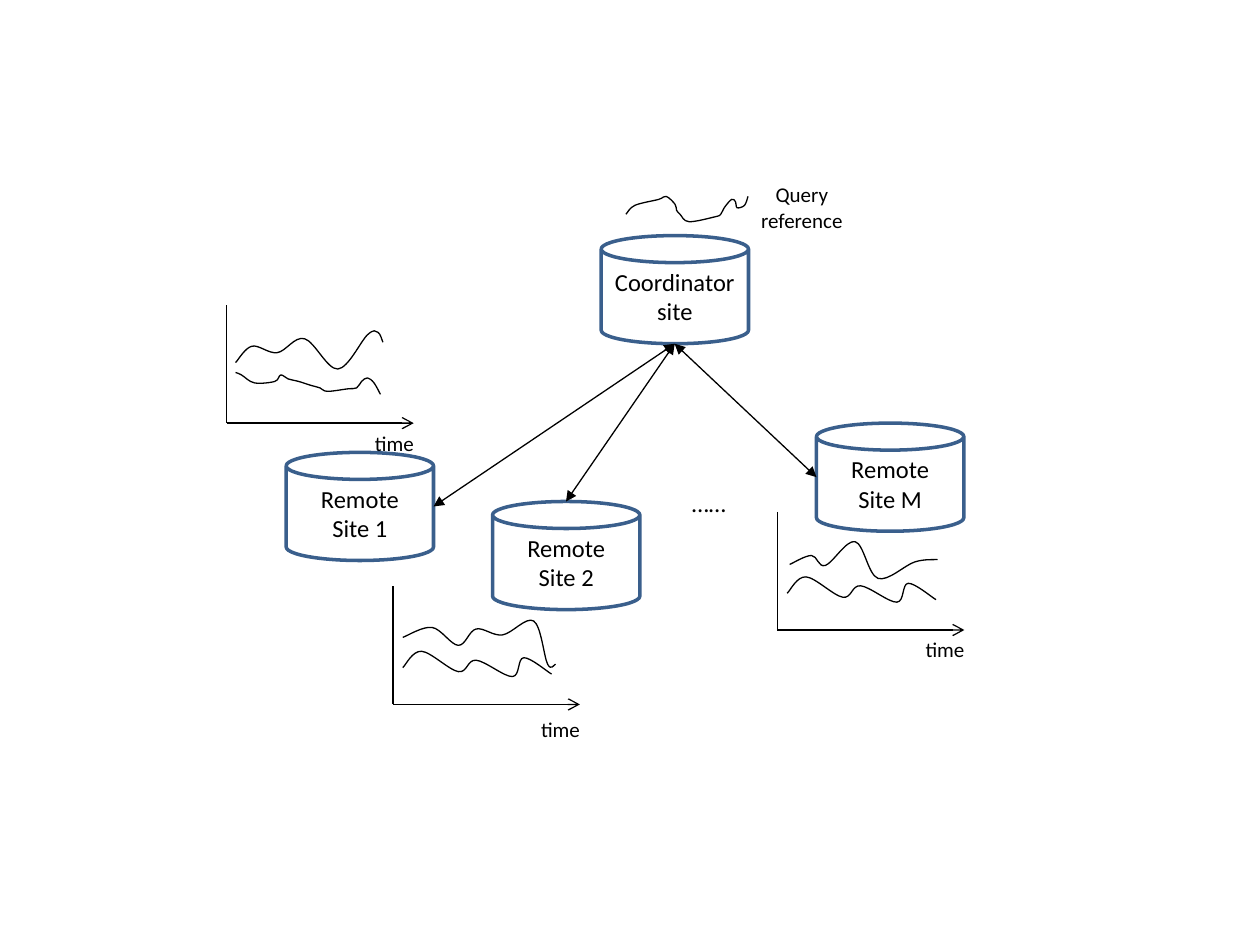
import pptx
import pptx.util
import pptx.dml.color
import pptx.enum.shapes
import pptx.enum.text
import pptx.oxml
import pptx.oxml.ns

Cm = pptx.util.Cm
Pt = pptx.util.Pt
qn = pptx.oxml.ns.qn
BLACK = pptx.dml.color.RGBColor(0x00, 0x00, 0x00)
SITE_BLUE = pptx.dml.color.RGBColor(0x3A, 0x5F, 0x8C)

deck = pptx.Presentation()
deck.slide_width = Cm(25.4)
deck.slide_height = Cm(19.05)
slide = deck.slides.add_slide(deck.slide_layouts[6])


def write(shape, text, size):
    frame = shape.text_frame
    frame.word_wrap = True
    frame.vertical_anchor = pptx.enum.text.MSO_ANCHOR.MIDDLE
    frame.text = text
    for paragraph in frame.paragraphs:
        paragraph.alignment = pptx.enum.text.PP_ALIGN.CENTER
        for run in paragraph.runs:
            run.font.size = Pt(size)
            run.font.name = "Calibri"
            run.font.color.rgb = BLACK


def draw_line(start, end, **arrowheads):
    line = slide.shapes.add_connector(
        pptx.enum.shapes.MSO_CONNECTOR.STRAIGHT, *map(Cm, start + end))
    line.line.color.rgb = BLACK
    line.line.width = Pt(0.75)
    outline = line.line._get_or_add_ln()
    for side in arrowheads:
        pptx.oxml.ns
        outline.append(outline.makeelement(qn("a:" + side), {"type": arrowheads[side]}))
    properties = line.element.spPr
    properties.append(properties.makeelement(qn("a:effectLst"), {}))


SITE_WIDTH, SITE_HEIGHT = 2.97, 2.18
sites = [
    ("Coordinator\nsite", 12.12, 4.75),
    ("Remote\nSite M", 16.46, 8.53),
    ("Remote\nSite 2", 9.93, 10.11),
    ("Remote\nSite 1", 5.77, 9.12),
]
for label, left, top in sites:
    site = slide.shapes.add_shape(
        pptx.enum.shapes.MSO_SHAPE.CAN, Cm(left), Cm(top), Cm(SITE_WIDTH), Cm(SITE_HEIGHT))
    site.shadow.inherit = False
    site.fill.background()
    site.line.color.rgb = SITE_BLUE
    site.line.width = Pt(2)
    write(site, label, 14)

coordinator_bottom = (13.6, 6.93)
for remote_end in [(8.74, 10.21), (11.41, 10.11), (16.46, 9.62)]:
    draw_line(remote_end, coordinator_bottom, headEnd="triangle", tailEnd="triangle")

shared_series = [(0.2, -0.74), (0.58, -1.07), (1.32, -0.66), (1.68, -0.89),
                 (2.41, -0.56), (2.64, -0.94), (3.2, -0.61)]
site_1_series = [
    [(0.18, -1.22), (0.51, -1.55), (1.02, -1.42), (1.57, -1.7),
     (2.24, -1.09), (2.84, -1.78), (3.05, -1.83), (3.15, -1.63)],
    [(0.18, -1.02), (0.3, -0.97), (0.56, -0.81), (0.97, -0.84), (1.09, -0.97),
     (1.24, -0.89), (1.45, -0.84), (1.7, -0.76), (1.88, -0.71), (2.03, -0.64),
     (2.44, -0.69), (2.62, -0.71), (2.72, -0.84), (2.84, -0.91), (2.97, -0.81),
     (3.1, -0.58)],
]
site_2_series = [
    shared_series,
    [(0.2, -1.35), (0.79, -1.55), (1.32, -1.19), (1.68, -1.52),
     (2.21, -1.4), (2.84, -1.68), (3.12, -0.81), (3.28, -0.81)],
]
site_m_series = [
    shared_series,
    [(0.25, -1.32), (0.69, -1.5), (0.97, -1.3), (1.57, -1.78),
     (2.03, -1.04), (2.77, -1.37), (3.23, -1.42)],
]
query_series = [(0, 0), (0.18, -0.18), (0.66, -0.3), (0.81, -0.36), (0.99, -0.2),
                (1.02, -0.08), (1.09, 0), (1.27, 0.15), (1.8, 0.05), (1.91, 0),
                (1.98, -0.13), (2.13, -0.3), (2.21, -0.25), (2.24, -0.13),
                (2.39, -0.18), (2.46, -0.36)]

AXIS_WIDTH, AXIS_HEIGHT = 3.77, 2.38
charts = [
    (4.57, 8.53, 0, site_1_series),
    (7.92, 14.2, 0.1, site_2_series),
    (15.67, 12.7, 0, site_m_series),
]
captions = [("Query reference", 14.68, 3.58, 2.97, 1.19, 12),
            ("……", 13.49, 9.73, 1.6, 0.79, 14)]
curves = [(12.62, 4.32, query_series)]
for left, base, label_gap, series in charts:
    draw_line((left, base - AXIS_HEIGHT), (left, base))
    draw_line((left, base), (left + AXIS_WIDTH, base), tailEnd="arrow")
    captions.append(("time", left + 2.58, base + label_gap, 1.6, 0.79, 12))
    curves += [(left, base, points) for points in series]

for text, left, top, width, height, size in captions:
    caption = slide.shapes.add_textbox(Cm(left), Cm(top), Cm(width), Cm(height))
    write(caption, text, size)

for left, base, points in curves:
    knots = [(Cm(left + x), Cm(base + y)) for x, y in points]
    builder = slide.shapes.build_freeform(*knots[0])
    builder.add_line_segments(knots[1:], close=False)
    curve = builder.convert_to_shape()
    curve.shadow.inherit = False
    curve.fill.background()
    curve.line.color.rgb = BLACK
    curve.line.width = Pt(0.75)

    local = [(x - curve.left, y - curve.top) for x, y in knots]
    padded = [local[0]] + local + [local[-1]]
    segments = list(curve.element.iter(qn("a:lnTo")))
    for segment, before, start, end, after in zip(
            segments, padded, padded[1:], padded[2:], padded[3:]):
        leaving = [s + (e - b) / 6 for b, s, e in zip(before, start, end)]
        arriving = [e - (a - s) / 6 for s, e, a in zip(start, end, after)]
        bezier = segment.makeelement(qn("a:cubicBezTo"), {})
        for x, y in (leaving, arriving, end):
            bezier.append(bezier.makeelement(
                qn("a:pt"), {"x": str(round(x)), "y": str(round(y))}))
        segment.getparent().replace(segment, bezier)

deck.save("out.pptx")
